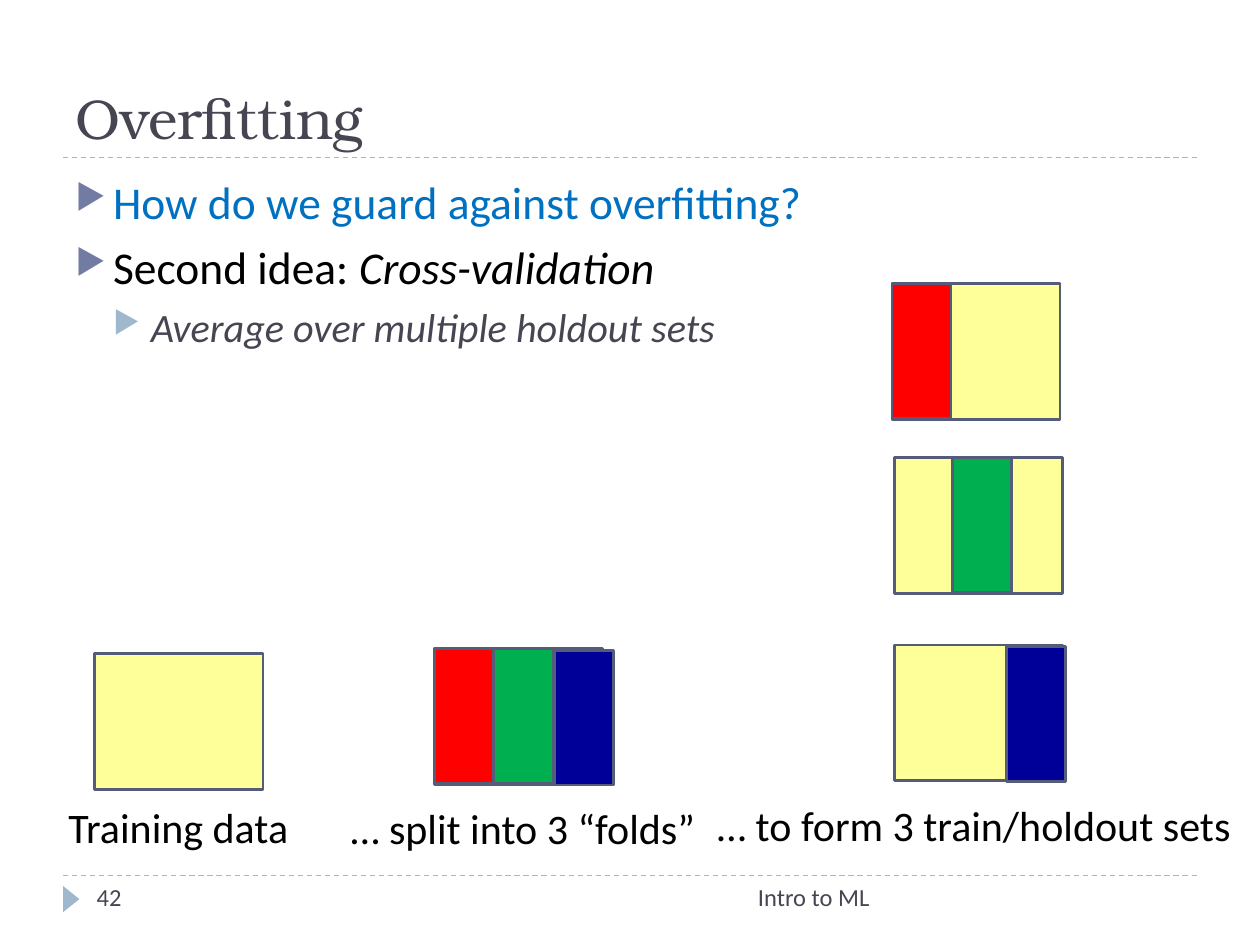
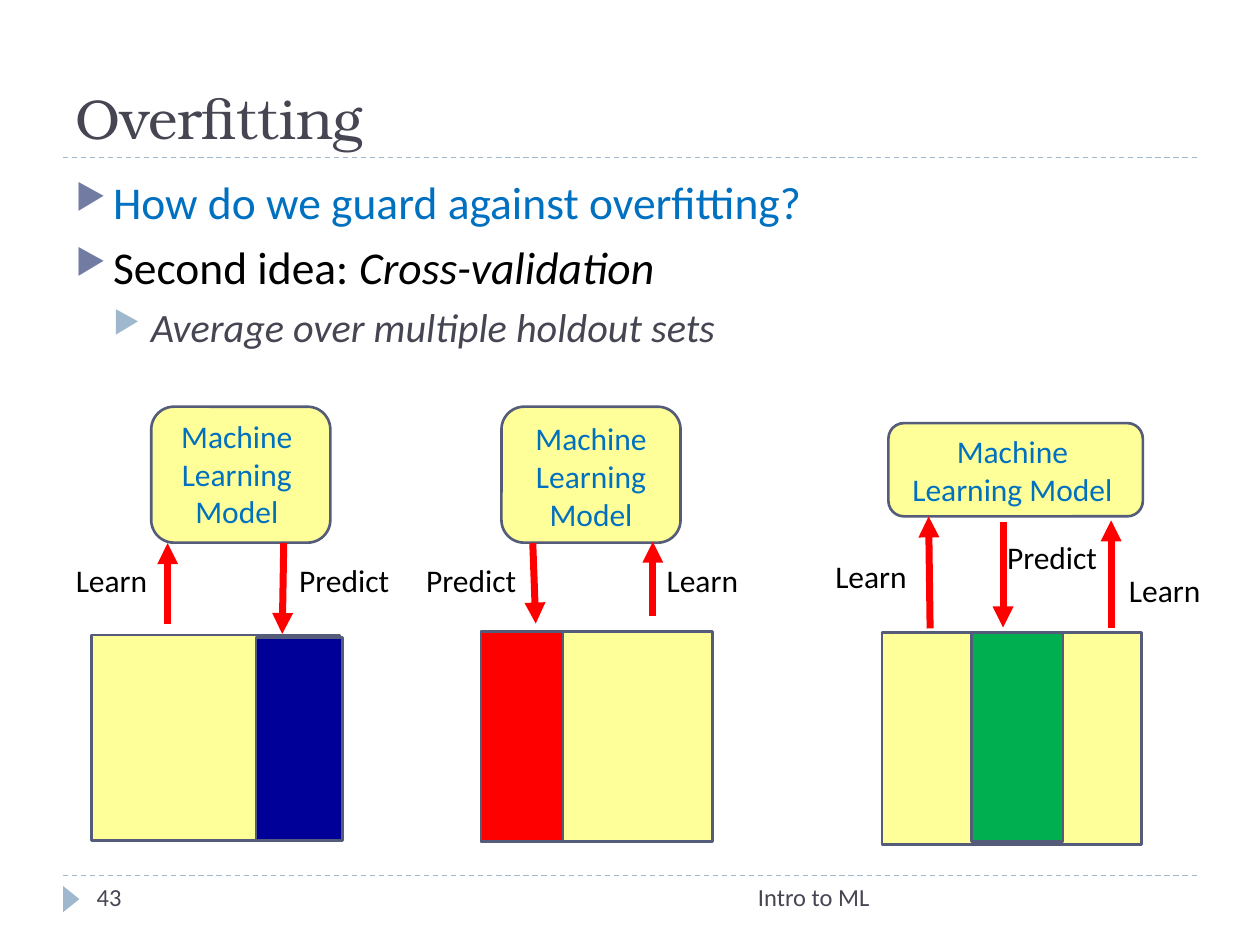
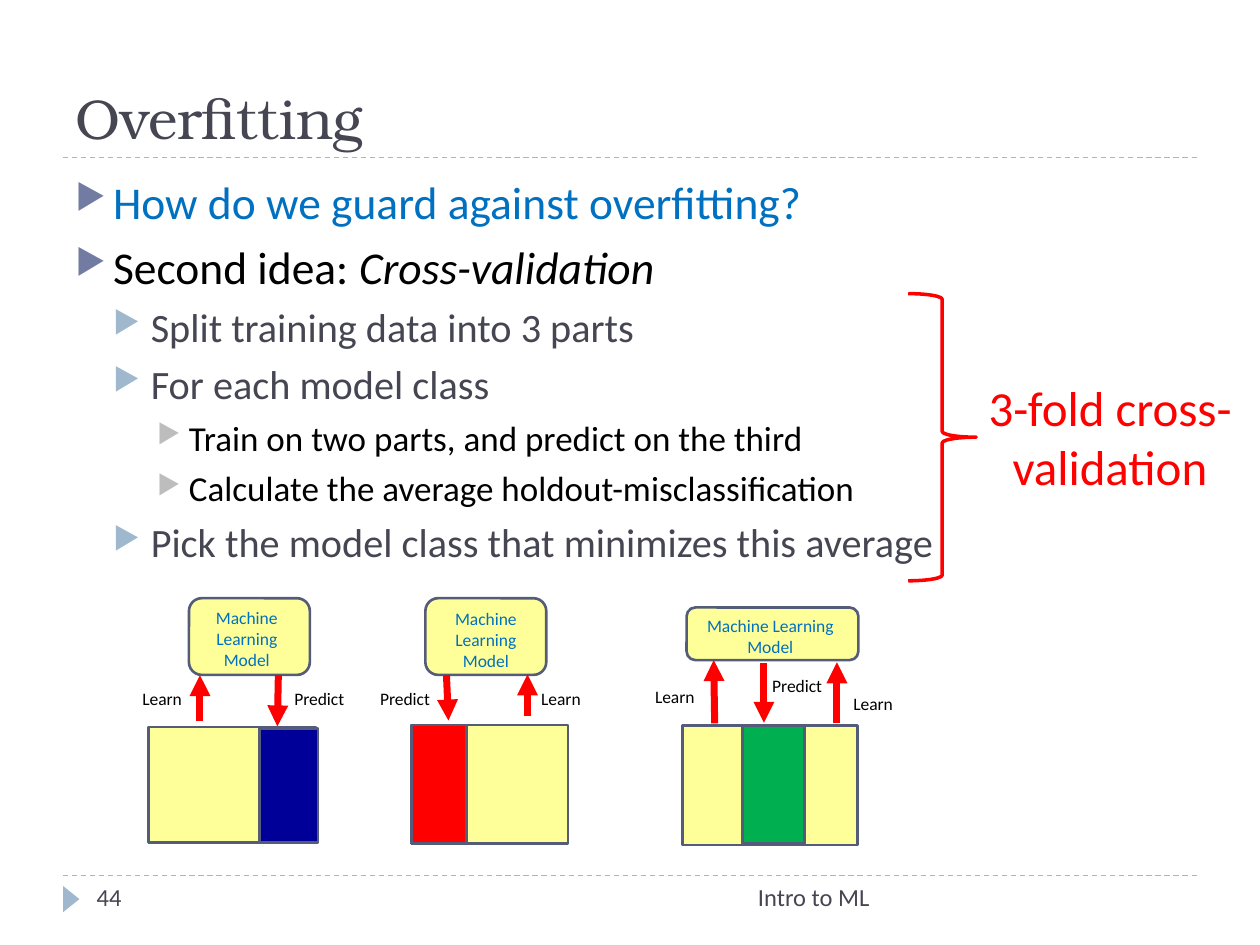
from pptx import Presentation
from pptx.dml.color import RGBColor
from pptx.enum.dml import MSO_LINE
from pptx.enum.shapes import MSO_CONNECTOR, MSO_SHAPE
from pptx.enum.text import MSO_ANCHOR, PP_ALIGN
from pptx.oxml.ns import qn
from pptx.util import Cm, Pt
from lxml.etree import SubElement

BLACK = RGBColor(0x00, 0x00, 0x00)
SLATE = RGBColor(0x46, 0x46, 0x53)
OUTLINE = RGBColor(0x54, 0x5C, 0x79)
PALE_BLUE = RGBColor(0x9F, 0xB8, 0xCD)
VIOLET = RGBColor(0x72, 0x7C, 0xA3)
GREY = RGBColor(0xBD, 0xBD, 0xBD)
BLUE = RGBColor(0x00, 0x70, 0xC0)
YELLOW = RGBColor(0xFF, 0xFF, 0x00)
RED = RGBColor(0xFF, 0x00, 0x00)
GREEN = RGBColor(0x00, 0xB0, 0x50)
NAVY = RGBColor(0x00, 0x00, 0x99)

BODY_FONT = "Calibri"
TITLE_FONT = "TeX Gyre Bonum"

# level: left margin, hanging indent (cm), space before (pt), bullet colour, size, text colour
LEVELS = [
    (0.76, 0.76, 6, VIOLET, 26, BLACK),
    (1.52, 0.76, 5, PALE_BLUE, 23, SLATE),
    (2.29, 0.64, 5, GREY, 20, BLACK),
]

# Each bullet: level, then (text, format changes) runs
IDEA = [
    (0, [("How do we guard against overfitting?", {"color": BLUE})]),
    (0, [("Second idea: ", {}), ("Cross-validation", {"italic": True})]),
]
AVERAGE = [(1, [("Average over multiple holdout sets", {"italic": True})])]
PROCEDURE = [(level, [(text, {})]) for level, text in [
    (1, "Split training data into 3 parts"),
    (1, "For each model class"),
    (2, "Train on two parts, and predict on the third"),
    (2, "Calculate the average holdout-misclassification"),
    (1, "Pick the model class that minimizes this average"),
]]

# Cross-validation diagram, in cm from its top left corner at full size
DIAGRAM_SIZE = (23.39, 8.81)
MODEL_TEXT = "Machine Learning Model"
MODELS = [  # rounded box, its text
    ((1.88, 0, 3.61, 2.74), (1.8, 0.08, 3.61, 2.57)),
    ((8.94, 0, 3.61, 2.74), (8.94, 0.13, 3.61, 2.57)),
    ((16.74, 0.33, 5.13, 1.88), (16.79, 0.38, 4.9, 1.8)),
]
LABEL_WIDTHS = {"Learn": 2.16, "Predict": 2.44}
LABELS = [
    ("Learn", 0, 2.98), ("Predict", 4.55, 2.98),
    ("Learn", 11.91, 2.98), ("Predict", 7.11, 2.98),
    ("Learn", 15.31, 2.9), ("Predict", 18.82, 2.52), ("Learn", 21.23, 3.18),
]
ARROWS = [  # from x, y to x, y
    (2.21, 4.37, 2.21, 2.75), (4.55, 2.75, 4.52, 4.58),
    (11.99, 4.22, 11.99, 2.72), (9.57, 2.75, 9.63, 4.37),
    (17.58, 4.47, 17.55, 2.21), (19.05, 2.32, 19.05, 4.45),
    (21.23, 4.47, 21.23, 2.29),
]
DATA_SETS = [  # all data, held-out fold, fold colour
    ((0.68, 4.6, 5, 4.14), (3.99, 4.65, 1.75, 4.09), NAVY),
    ((8.53, 4.53, 4.67, 4.24), (8.53, 4.53, 1.65, 4.24), RED),
    ((16.61, 4.55, 5.23, 4.27), (18.41, 4.55, 1.85, 4.22), GREEN),
]


def add_run(p, text, size, color, **changes):
    r = p.add_run()
    r.text = text
    font = {"name": BODY_FONT, "size": Pt(size), "color": color, **changes}
    r.font.color.rgb = font.pop("color")
    for name, value in font.items():
        setattr(r.font, name, value)


def add_text_frame(s, box):
    tf = s.shapes.add_textbox(*map(Cm, box)).text_frame
    tf.word_wrap = True
    return tf


def add_label(s, box, text, size, color, align=PP_ALIGN.CENTER, **changes):
    tf = add_text_frame(s, box)
    tf.paragraphs[0].alignment = align
    add_run(tf.paragraphs[0], text, size, color, **changes)
    return tf


def add_block(s, box, fill=None, kind=MSO_SHAPE.RECTANGLE, line=OUTLINE, width=1.5):
    """Add an outlined shape; yellow is the see-through colour of the data."""
    sp = s.shapes.add_shape(kind, *map(Cm, box))
    sp.shadow.inherit = False
    if fill is None:
        sp.fill.background()
    else:
        sp.fill.solid()
        sp.fill.fore_color.rgb = fill
    if fill == YELLOW:
        color = sp.element.spPr.find(qn("a:solidFill"))[0]
        SubElement(color, qn("a:alpha"), val="40000")
    if line is None:
        sp.line.fill.background()
    else:
        sp.line.color.rgb = line
        sp.line.width = Pt(width)
    return sp


def add_line(s, ends, color, width):
    c = s.shapes.add_connector(MSO_CONNECTOR.STRAIGHT, *map(Cm, ends))
    c.line.color.rgb = color
    c.line.width = Pt(width)
    SubElement(c.element.spPr, qn("a:effectLst"))
    return c


def add_arrow(s, ends):
    c = add_line(s, ends, RED, 4)
    SubElement(c.line._get_or_add_ln(), qn("a:tailEnd"), type="triangle")


def add_bullets(s, box, bullets):
    tf = add_text_frame(s, box)
    for i, (level, runs) in enumerate(bullets):
        margin, hanging, before, bullet_color, size, color = LEVELS[level]
        p = tf.add_paragraph() if i else tf.paragraphs[0]
        p.level = level
        p.space_before = Pt(before)
        pPr = p._p.get_or_add_pPr()
        pPr.set("marL", str(Cm(margin)))
        pPr.set("indent", str(-Cm(hanging)))
        SubElement(SubElement(pPr, qn("a:buClr")), qn("a:srgbClr"), val=str(bullet_color))
        SubElement(pPr, qn("a:buSzPct"), val="76000")
        SubElement(pPr, qn("a:buChar"), char="▶")
        for text, changes in runs:
            add_run(p, text, size, **{"color": color, **changes})


def add_base_slide(prs, number, bullets):
    """Add a slide with the shared rules, title, footer and bullet list."""
    s = prs.slides.add_slide(prs.slide_layouts[6])
    for y in (17.65, 3.18):
        add_line(s, (1.27, y, 24.13, y), PALE_BLUE, 0.75).line.dash_style = MSO_LINE.DASH
    marker = add_block(s, (1.17, 17.96, 0.53, 0.33), PALE_BLUE,
                       MSO_SHAPE.ISOSCELES_TRIANGLE, line=None)
    marker.rotation = 90
    title = add_label(s, (1.27, 0.43, 22.86, 2.74), "Overfitting", 32, SLATE,
                      PP_ALIGN.LEFT, name=TITLE_FONT)
    title.vertical_anchor = MSO_ANCHOR.BOTTOM
    add_label(s, (8.05, 17.65, 9.73, 1.02), "Intro to ML", 14, SLATE, PP_ALIGN.RIGHT)
    add_label(s, (1.7, 17.65, 5.51, 1.02), str(number), 14, SLATE, PP_ALIGN.LEFT)
    add_bullets(s, (1.27, 3.38, 22.86, 14.17), bullets)
    return s


def add_data_set(s, x, y, folds, fill=YELLOW):
    """Draw the training data at x, y with folds given as (dx, dy, colour)."""
    add_block(s, (x, y, 3.39, 2.74), fill)
    for dx, dy, color in folds:
        add_block(s, (x + dx, y + dy, 1.19, 2.72), color)


def add_diagram(s, box, size):
    """Draw the three train and predict rounds, stretched to fill the box."""
    left, top, width, height = box
    fx, fy = width / DIAGRAM_SIZE[0], height / DIAGRAM_SIZE[1]

    def fit(part):
        x, y, w, h = part
        return left + x * fx, top + y * fy, w * fx, h * fy

    for model, text_box in MODELS:
        add_block(s, fit(model), YELLOW, MSO_SHAPE.ROUNDED_RECTANGLE)
        add_label(s, fit(text_box), MODEL_TEXT, size, BLUE)
    for text, x, y in LABELS:
        add_label(s, fit((x, y, LABEL_WIDTHS[text], 1.02)), text, size, BLACK)
    for x1, y1, x2, y2 in ARROWS:
        add_arrow(s, (left + x1 * fx, top + y1 * fy, left + x2 * fx, top + y2 * fy))
    for data, fold, color in DATA_SETS:
        add_block(s, fit(data), YELLOW)
        add_block(s, fit(fold), color)


def add_folds_slide(prs):
    s = add_base_slide(prs, 42, IDEA + AVERAGE)
    add_data_set(s, 1.91, 13.18, [])
    add_data_set(s, 8.76, 13.08, [(0, 0, RED), (1.2, 0, GREEN), (2.42, 0.03, NAVY)], None)
    for x, y, fold in [(17.98, 5.72, (0, 0, RED)),
                       (18.03, 9.22, (1.17, 0, GREEN)),
                       (18.03, 13, (2.26, 0.03, NAVY))]:
        add_data_set(s, x, y, [fold])
    for x, y, width, text in [(0.84, 16.03, 5.51, "Training data"),
                              (6.58, 16.05, 7.92, "… split into 3 “folds”"),
                              (13.87, 16, 11.53, "… to form 3 train/holdout sets")]:
        add_label(s, (x, y, width, 1.27), text, 24, BLACK)


def add_rounds_slide(prs):
    s = add_base_slide(prs, 43, IDEA + AVERAGE)
    add_diagram(s, (1.17, 8.2, *DIAGRAM_SIZE), 18)


def add_procedure_slide(prs):
    s = add_base_slide(prs, 44, IDEA + PROCEDURE)
    add_label(s, (19.35, 7.49, 6.05, 2.64), "3-fold cross-validation", 28, RED)
    add_block(s, (18.31, 5.92, 1.37, 5.79), None, MSO_SHAPE.RIGHT_BRACE, RED, 2)
    add_diagram(s, (2.54, 12.06, 15.79, 4.97), 10)


def main():
    prs = Presentation()
    prs.slide_width, prs.slide_height = Cm(25.4), Cm(19.05)
    add_folds_slide(prs)
    add_rounds_slide(prs)
    add_procedure_slide(prs)
    prs.save("out.pptx")


if __name__ == "__main__":
    main()
